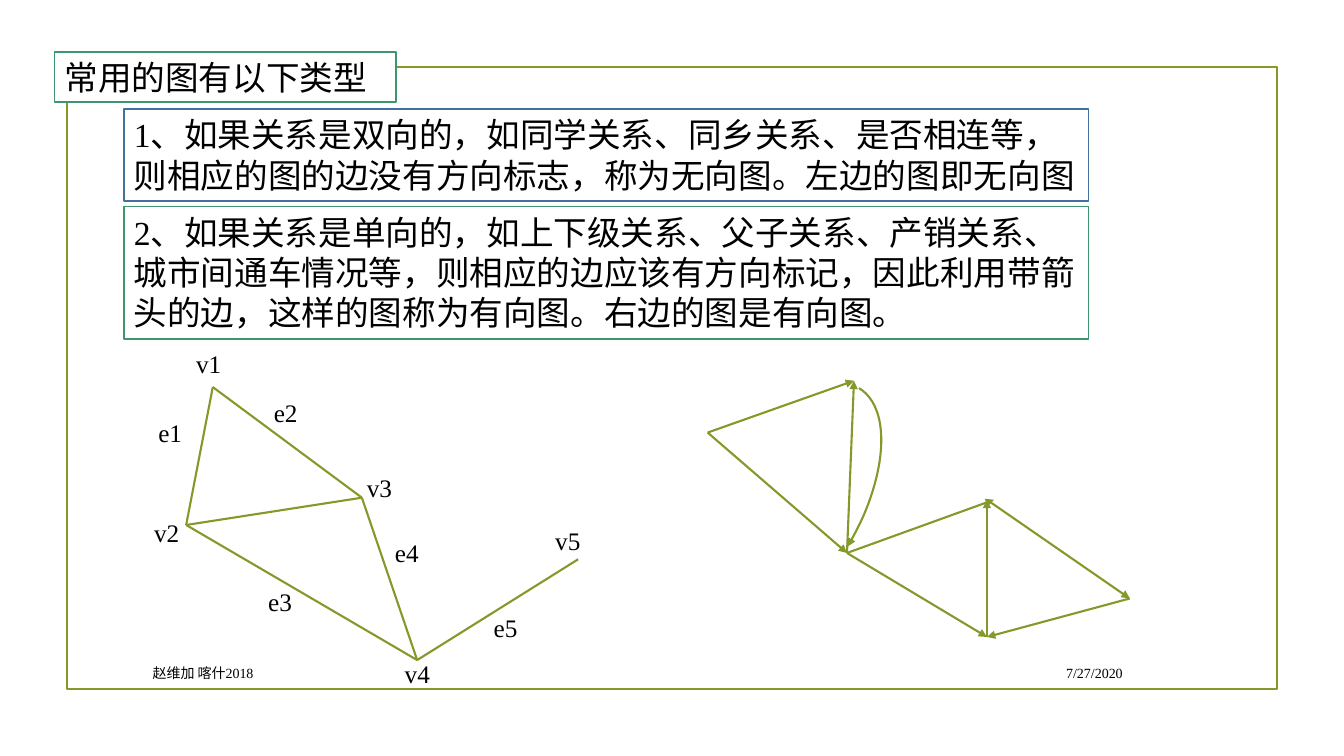
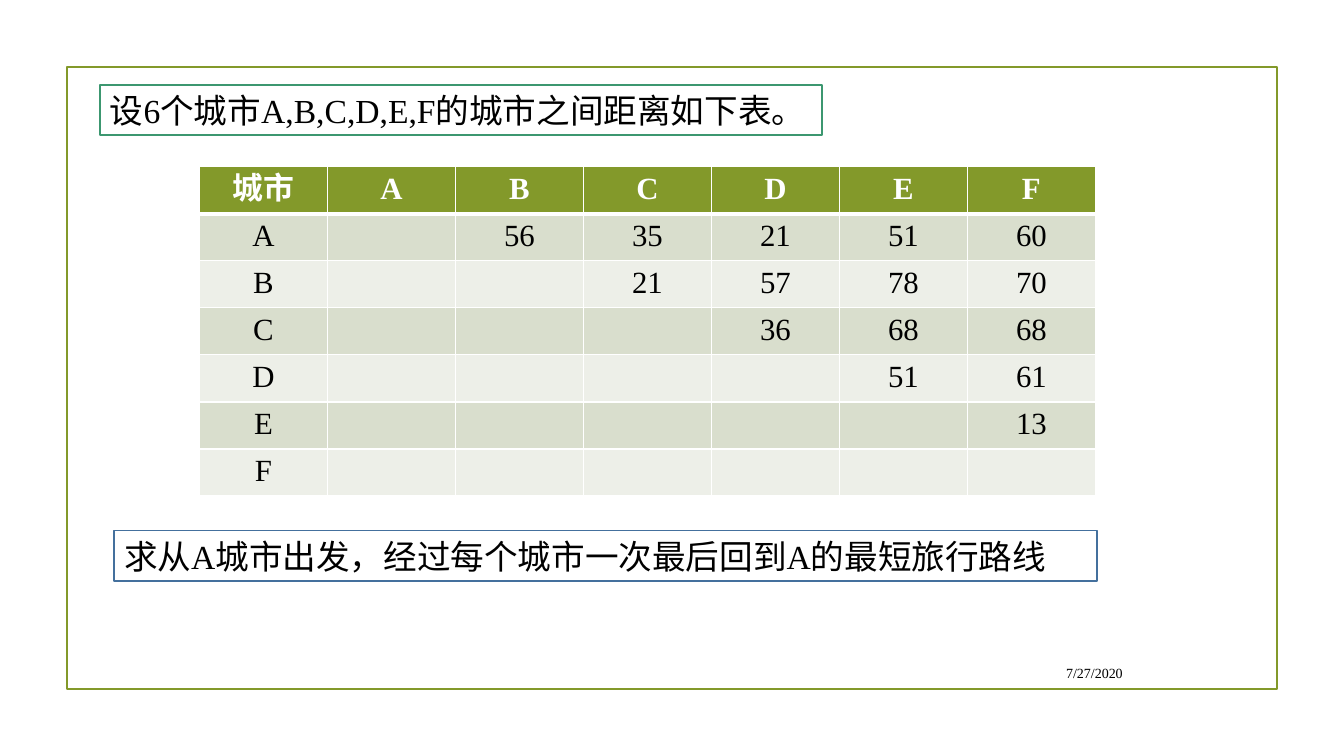
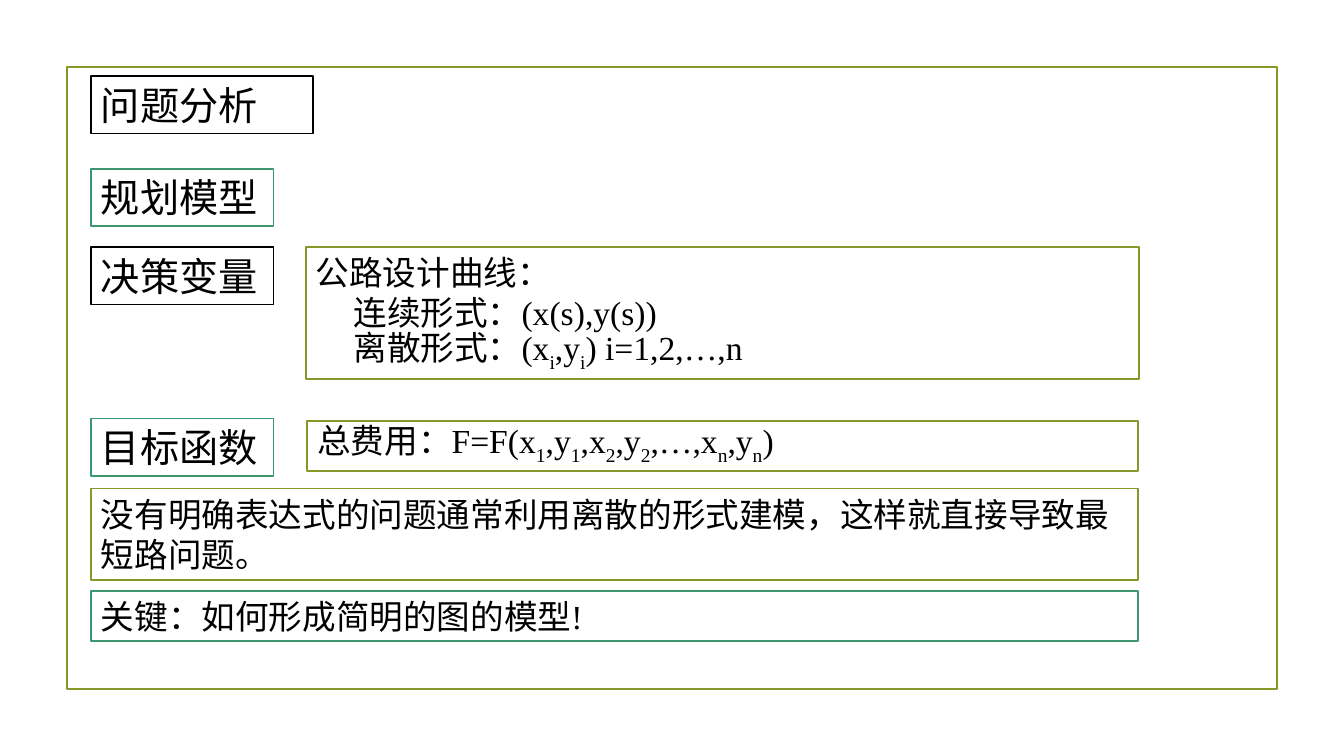
import pptx
import pptx.util
import pptx.dml.color
import pptx.enum.shapes
import pptx.enum.text
import pptx.oxml
import pptx.oxml.ns
from dataclasses import dataclass

Pt = pptx.util.Pt
Shape = pptx.enum.shapes.MSO_SHAPE
Align = pptx.enum.text.PP_ALIGN
Anchor = pptx.enum.text.MSO_ANCHOR


@dataclass(frozen=True)
class Theme:
    olive: str = "83992A"
    green: str = "3C9770"
    blue: str = "44709D"
    black: str = "000000"
    white: str = "FFFFFF"
    dark: str = "D9DECD"
    light: str = "EDEFE8"
    serif: str = "Times New Roman"
    sans: str = "Noto Sans CJK JP"
    head: int = 28
    body: int = 24
    cell: int = 22
    label: int = 18
    foot: int = 10
    rim: float = 1.25
    edge: float = 1.5
    lead: float = 1.2


T = Theme()


def rgb(code):
    return pptx.dml.color.RGBColor.from_string(code)


def place(at):
    return [Pt(n) for n in at]


def style(par, size, face=T.serif, color=T.black, bold=False):
    for run in par.runs:
        font = run.font
        font.size, font.name, font.bold = Pt(size), face, bold
        font.color.rgb = rgb(color)
    if not par.text.isascii():
        par.line_spacing = Pt(round(size * T.lead, 1))


def write(par, text):
    first, *rest = text.split("_")
    par.text = first
    for part in rest:
        low = par.add_run()
        low.text = part[0]
        low.font._element.set("baseline", "-25000")
        if part[1:]:
            par.add_run().text = part[1:]


def stroke(item, color, width, arrow=False):
    item.line.color.rgb = rgb(color)
    item.line.width = Pt(width)
    if arrow:
        tail = pptx.oxml.parse_xml(
            f'<a:tailEnd {pptx.oxml.ns.nsdecls("a")} type="triangle"/>')
        item.line._get_or_add_ln().append(tail)


def draw(slide, kind, at, color, width, fill=None, arrow=False):
    item = slide.shapes.add_shape(kind, *place(at))
    item.shadow.inherit = False
    if fill:
        item.fill.solid()
        item.fill.fore_color.rgb = rgb(fill)
    else:
        item.fill.background()
    stroke(item, color, width, arrow)
    return item


def box(slide, at, color, *lines, size=T.body, face=T.serif, indent=0):
    item = draw(slide, Shape.RECTANGLE, at, color, T.rim, T.white)
    frame = item.text_frame
    frame.word_wrap = True
    frame.vertical_anchor = Anchor.TOP
    for row, line in enumerate(lines):
        par = frame.add_paragraph() if row else frame.paragraphs[0]
        write(par, line)
        par.alignment = Align.LEFT
        if row and indent:
            par._p.get_or_add_pPr().set("marL", str(Pt(indent)))
        style(par, size, face)


def note(slide, at, text, size, align=Align.LEFT, anchor=Anchor.TOP):
    frame = slide.shapes.add_textbox(*place(at)).text_frame
    frame.word_wrap = True
    frame.vertical_anchor = anchor
    frame.text = text
    frame.paragraphs[0].alignment = align
    style(frame.paragraphs[0], size)


def edge(slide, start, end, arrow=False):
    line = slide.shapes.add_connector(
        pptx.enum.shapes.MSO_CONNECTOR.STRAIGHT, *place(start + end))
    stroke(line, T.olive, T.edge, arrow)
    line._element.spPr.append(
        pptx.oxml.parse_xml(f'<a:effectLst {pptx.oxml.ns.nsdecls("a")}/>'))


def graph(slide, nodes, pairs, arrow=False):
    for start, end in pairs:
        edge(slide, nodes[start], nodes[end], arrow)


def border(cell, thick):
    prop = cell._tc.get_or_add_tcPr()
    for side, width in zip("LRTB", (1, 1, 1, thick)):
        prop.append(pptx.oxml.parse_xml(
            f'<a:ln{side} {pptx.oxml.ns.nsdecls("a")} w="{Pt(width)}"><a:solidFill>'
            f'<a:srgbClr val="{T.white}"/></a:solidFill></a:ln{side}>'))


def grid(slide, left, top, wide, high, rows):
    count = len(rows[0])
    table = slide.shapes.add_table(
        len(rows), count, *place((left, top, wide * count, high * len(rows)))).table
    for col in table.columns:
        col.width = Pt(wide)
    for r, row in enumerate(rows):
        table.rows[r].height = Pt(high)
        for c, text in enumerate(row):
            cell = table.cell(r, c)
            border(cell, 1 if r else 3)
            cell.fill.solid()
            back = (T.dark if r % 2 else T.light) if r else T.olive
            cell.fill.fore_color.rgb = rgb(back)
            par = cell.text_frame.paragraphs[0]
            par.text = text
            par.alignment = Align.CENTER
            style(par, T.cell, color=T.black if r else T.white, bold=not r)


def start(deck):
    slide = deck.slides.add_slide(deck.slide_layouts[6])
    draw(slide, Shape.RECTANGLE, (48, 48, 864, 444), T.olive, T.rim)
    return slide


def date(slide):
    note(slide, (683, 470, 126, 22), "7/27/2020", T.foot, Align.RIGHT, Anchor.MIDDLE)


def kinds(deck):
    slide = start(deck)
    box(slide, (39, 37, 244, 36), T.green, "常用的图有以下类型")
    box(slide, (88.5, 78, 689, 65.5), T.blue,
        "1、如果关系是双向的，如同学关系、同乡关系、是否相连等，则相应的图的边没有方向标志，称为无向图。左边的图即无向图")
    box(slide, (88.5, 147.5, 689, 94.5), T.green,
        "2、如果关系是单向的，如上下级关系、父子关系、产销关系、城市间通车情况等，则相应的边应该有方向标记，"
        "因此利用带箭头的边，这样的图称为有向图。右边的图是有向图。")

    plain = {"1": (152, 276.5), "2": (133, 375), "3": (258.5, 355.5),
             "4": (298, 471.5), "5": (413, 399.5)}
    graph(slide, plain, ("13", "12", "23", "24", "34", "45"))
    marks = {"v1": (133, 245.5), "v2": (103, 366), "v3": (255, 334),
             "v4": (282, 467), "v5": (389.5, 372),
             "e1": (106, 294.5), "e2": (188.5, 280), "e3": (184.5, 415.5),
             "e4": (275, 380), "e5": (345.5, 434)}
    for name, spot in marks.items():
        wide = 49 if name[0] == "v" else 35
        note(slide, spot + (wide, 29), name, T.label)

    aimed = {"a": (505.5, 309), "b": (610, 272), "c": (605, 395), "d": (705, 357),
             "e": (705, 455), "f": (807, 427.5), "g": (710, 357)}
    graph(slide, aimed, ("ab", "ac", "cb", "cg", "ce", "df", "ed", "fe"), True)
    bend = draw(slide, Shape.ARC, (511, 263, 101.5, 203), T.olive, T.edge, arrow=True)
    bend.rotation = 30.7
    date(slide)
    note(slide, (102, 470, 575, 22), "赵维加 喀什2018", T.foot, anchor=Anchor.MIDDLE)


def cities(deck):
    slide = start(deck)
    date(slide)
    box(slide, (71.5, 60.5, 515.5, 36), T.green, "设6个城市A,B,C,D,E,F的城市之间距离如下表。")
    names = "ABCDEF"
    far = ((56, 35, 21, 51, 60), (21, 57, 78, 70), (36, 68, 68), (51, 61), (13,), ())
    rows = [["城市", *names]]
    for pos, (name, nums) in enumerate(zip(names, far)):
        rows.append([name] + [""] * (pos + 1) + [str(n) for n in nums])
    grid(slide, 142.5, 119, 91.44, 33.6, rows)
    box(slide, (81.5, 379, 702, 36), T.blue, "求从A城市出发，经过每个城市一次最后回到A的最短旅行路线")


def model(deck):
    slide = start(deck)
    heads = (("问题分析", 54.5, 158.5, T.black), ("规划模型", 120.5, 130.5, T.green),
             ("目标函数", 299, 130.5, T.green), ("决策变量", 176.5, 130.5, T.black))
    for text, top, wide, color in heads:
        box(slide, (65, top, wide, 41), color, text, size=T.head, face=T.sans)
    box(slide, (218.5, 176.5, 595, 94.5), T.olive, "公路设计曲线：",
        "连续形式：(x(s),y(s))", "离散形式：(x_i,y_i) i=1,2,…,n", indent=27)
    box(slide, (219.5, 300.5, 593.5, 36), T.olive,
        "总费用：F=F(x_1,y_1,x_2,y_2,…,x_n,y_n)")
    box(slide, (65, 349, 748, 65.5), T.olive,
        "没有明确表达式的问题通常利用离散的形式建模，这样就直接导致最短路问题。")
    box(slide, (65, 422, 748, 36), T.green, "关键：如何形成简明的图的模型!")


def main():
    deck = pptx.Presentation()
    deck.slide_width, deck.slide_height = Pt(960), Pt(540)
    kinds(deck)
    cities(deck)
    model(deck)
    deck.save("out.pptx")


if __name__ == "__main__":
    main()
